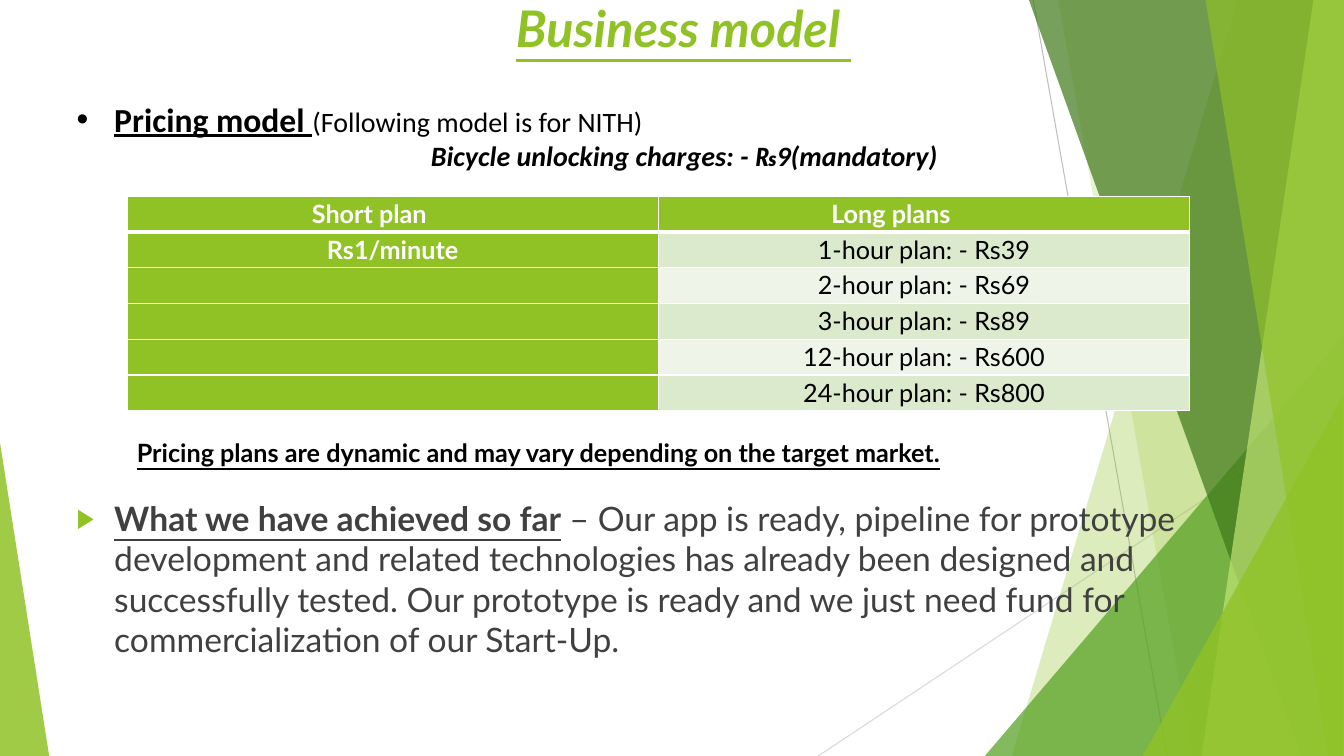
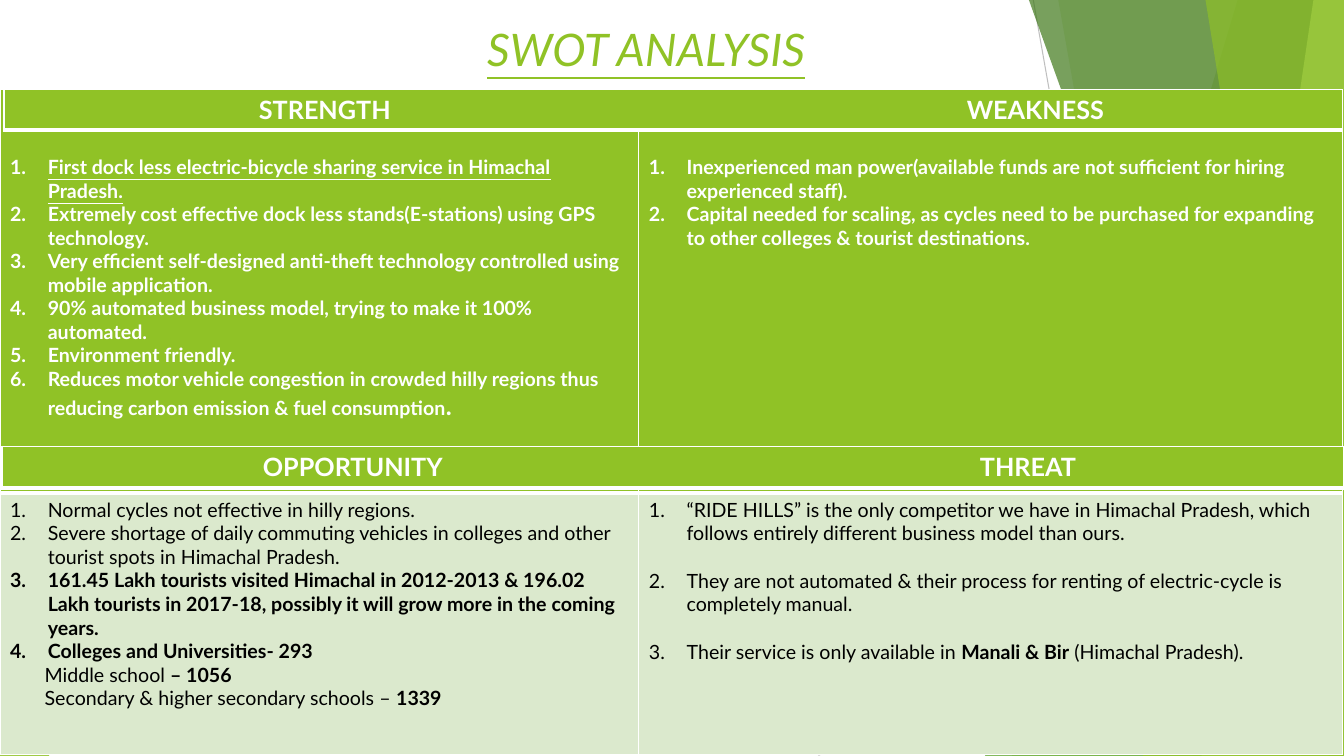
from dataclasses import dataclass

from lxml import etree
from pptx import Presentation
from pptx.dml.color import RGBColor
from pptx.enum import shapes, text
from pptx.oxml import ns
from pptx.util import Cm, Pt


@dataclass(frozen=True)
class Theme:
    font: str = "Lato"
    font_plain: str = "Calibri"
    green: str = "90C226"
    leaf: str = "54A021"
    forest: str = "3F7819"
    lime: str = "C0E474"
    pale: str = "DBE9CD"
    paler: str = "EEF4E8"
    ink: str = "404040"
    black: str = "000000"
    white: str = "FFFFFF"
    title: int = 36
    title_small: int = 32
    large: int = 24
    medium: int = 20
    normal: int = 18
    small: int = 14


THEME = Theme()
WIDTH, HEIGHT = 33.87, 19.05
HANGING = 0.95

RAYS = [(26.04, 0, 29.41, HEIGHT, "BFBFBF"), (WIDTH, 10.24, 20.62, HEIGHT, "D9D9D9")]
DECOR = [
    ("panel", (31.19, 25.5), THEME.green, 30),
    ("panel", (26.67, 30.05), THEME.green, 20),
    ("triangle", (24.82, 8.46, 9.04, 1), THEME.leaf, 72),
    ("panel", (25.93, 32.79), THEME.forest, 70),
    ("panel", (33.1, 30.28), THEME.lime, 70),
    ("panel", (30.38, 33.48), THEME.green, 65),
    ("triangle", (28.8, 9.98, 5.05, 1), THEME.green, 80),
    ("triangle", (0, 11.15, 1.24, 0), THEME.green, 85),
]

BOLD = {"bold": True}
UNDERLINED = {"bold": True, "underline": True}
HEADER = {"size": THEME.normal, "color": THEME.white, "bold": True}
PLAN = {"size": THEME.normal, "color": THEME.black}
LIGHT = {"size": THEME.small, "color": THEME.white, "bold": True}
DARK = {"size": THEME.small, "color": THEME.black}
NOTE = {"size": THEME.medium, "color": THEME.black, "name": THEME.font_plain}
BODY = {"size": THEME.large, "color": THEME.ink}


def line(*runs, **layout):
    return {"runs": runs, **layout}


def item(*runs, **layout):
    return line(*runs, left=HANGING, hanging=HANGING, **layout)


def numbered(*runs, **layout):
    return item(*runs, number=True, **layout)


PRICING = [
    item(("Pricing model ", {**UNDERLINED, "size": THEME.large}),
         ("(Following model is for NITH)", {}), bullet="•"),
    line(("Bicycle unlocking charges: - ₨9(mandatory)", {"bold": True, "italic": True}), left=8.93),
]
PLAN_HEADERS = [("Short plan", 4.48), ("Long plans", 4.18)]
SHORT_PLANS = ["Rs1/minute", "", "", "", ""]
LONG_PLANS = ["1-hour plan: - Rs39", "2-hour plan: - Rs69", "3-hour plan: - Rs89",
              "12-hour plan: - Rs600", "24-hour plan: - Rs800"]
DYNAMIC = [line(("Pricing plans are dynamic and may vary depending on the target market.", UNDERLINED))]
ACHIEVED = [item(
    ("What we have achieved so far", UNDERLINED),
    (" – Our app is ready, pipeline for prototype development and related technologies has already "
     "been designed and successfully tested. Our prototype is ready and we just need fund for "
     "commercialization of our Start-Up.", {}),
    bullet="▶", bullet_color=THEME.green, bullet_size=80)]

STRENGTHS = [
    numbered(("First dock less electric-bicycle sharing service in Himachal Pradesh.", UNDERLINED)),
    numbered(("Extremely cost effective dock less stands(E-stations) using GPS technology.", {})),
    numbered(("Very efficient self-designed anti-theft technology controlled using mobile application.", {})),
    numbered(("90% automated business model, trying to make it 100% automated.", {})),
    numbered(("Environment friendly.", {})),
    numbered(("Reduces motor vehicle congestion in crowded hilly regions thus reducing carbon emission "
              "& fuel consumption", {}), (".", {"size": THEME.normal})),
]
WEAKNESSES = [
    numbered(("Inexperienced man power(available funds are not sufficient for hiring experienced staff).", {})),
    numbered(("Capital needed for scaling, as cycles need to be purchased for expanding to other "
              "colleges & tourist destinations.", {})),
]
OPPORTUNITIES = [
    numbered(("Normal cycles not effective in hilly regions.", {})),
    numbered(("Severe shortage of daily commuting vehicles in colleges and other tourist spots in "
              "Himachal Pradesh.", {})),
    numbered(("161.45 Lakh tourists visited Himachal in 2012-2013 & 196.02 Lakh tourists in 2017-18, "
              "possibly it will grow more in the coming years.", BOLD)),
    numbered(("Colleges and Universities- 293", BOLD)),
    line(("Middle school", {}), (" – 1056", BOLD), left=0.87),
    line(("Secondary & higher secondary schools – ", {}), ("1339", BOLD), left=0.87),
]
THREATS = [
    numbered(("“RIDE HILLS” is the only competitor we have in Himachal Pradesh, which follows entirely "
              "different business model than ours.", {})),
    numbered(("They are not automated & their process for renting of electric-cycle is completely "
              "manual.", {}), space_before=17),
    numbered(("Their service is only available in ", {}), ("Manali & Bir", BOLD),
             (" (Himachal Pradesh).", {}), space_before=17),
]
QUADRANTS = [
    [(STRENGTHS, LIGHT, THEME.green, 1.65, 3), (WEAKNESSES, LIGHT, THEME.green, 1.65, 3)],
    [(OPPORTUNITIES, DARK, THEME.pale, 0.13, 1), (THREATS, DARK, THEME.pale, 0.13, 1)],
]
BANDS = [
    (("OPPORTUNITY", "THREAT"), (6.32, 24.39), (0.05, 11.25, 33.81, 1.04)),
    (("STRENGTH", "WEAKNESS"), (6.17, 24.01), (0.1, 2.26, 33.73, 1.02)),
]


def add_xml(parent, tag, **attributes):
    return etree.SubElement(parent, ns.qn(tag), {key: str(value) for key, value in attributes.items()})


def format_run(run, values):
    for name, value in {"name": THEME.font, **values}.items():
        if name == "color":
            run.font.color.rgb = RGBColor.from_string(value)
        else:
            setattr(run.font, name, Pt(value) if name == "size" else value)


def format_paragraph(paragraph, layout):
    properties = paragraph._p.get_or_add_pPr()
    if "left" in layout:
        properties.set("marL", str(Cm(layout["left"])))
        properties.set("indent", str(-Cm(layout.get("hanging", 0))))
    if "bullet_color" in layout:
        add_xml(add_xml(properties, "a:buClr"), "a:srgbClr", val=layout["bullet_color"])
    if "bullet_size" in layout:
        add_xml(properties, "a:buSzPct", val=layout["bullet_size"] * 1000)
    if "number" in layout:
        add_xml(properties, "a:buFont", typeface="+mj-lt")
        add_xml(properties, "a:buAutoNum", type="arabicPeriod")
    elif "bullet" in layout:
        add_xml(properties, "a:buFont", typeface="Arial")
        add_xml(properties, "a:buChar", char=layout["bullet"])
    if "tabs" in layout:
        tabs = add_xml(properties, "a:tabLst")
        for position in layout["tabs"]:
            add_xml(tabs, "a:tab", pos=Cm(position), algn="l")
    if "space_before" in layout:
        paragraph.space_before = Pt(layout["space_before"])
    for name in ("alignment", "line_spacing"):
        if name in layout:
            setattr(paragraph, name, layout[name])


def write(frame, paragraphs, base):
    for index, content in enumerate(paragraphs):
        paragraph = frame.add_paragraph() if index else frame.paragraphs[0]
        format_paragraph(paragraph, content)
        for words, values in content["runs"]:
            run = paragraph.add_run()
            run.text = words
            format_run(run, {**base, **values})


def add_text(slide, box, paragraphs, base):
    frame = slide.shapes.add_textbox(*map(Cm, box)).text_frame
    frame.word_wrap = True
    write(frame, paragraphs, base)


def add_table(slide, box, columns, rows):
    table = slide.shapes.add_table(len(rows), len(columns), *map(Cm, box)).table
    table.first_row = table.horz_banding = False
    for parts, sizes, name in ((table.columns, columns, "width"), (table.rows, rows, "height")):
        for part, size in zip(parts, sizes):
            setattr(part, name, Cm(size))
    return table


def fill_cell(cell, paragraphs, base, fill, bottom=1, margins=None):
    properties = cell._tc.get_or_add_tcPr()
    for side, width in (("L", 1), ("R", 1), ("T", 1), ("B", bottom)):
        border = add_xml(properties, f"a:ln{side}", w=Pt(width))
        add_xml(add_xml(border, "a:solidFill"), "a:srgbClr", val=THEME.white)
    cell.fill.solid()
    cell.fill.fore_color.rgb = RGBColor.from_string(fill)
    for side, size in (margins or {}).items():
        setattr(cell, f"margin_{side}", Cm(size))
    write(cell.text_frame, paragraphs, base)


def draw_decor(slide):
    drawn = []
    for *ends, color in RAYS:
        ray = slide.shapes.add_connector(shapes.MSO_CONNECTOR.STRAIGHT, *map(Cm, ends))
        ray.line.color.rgb = RGBColor.from_string(color)
        ray.line.width = Pt(0.75)
        add_xml(ray.element.spPr, "a:effectLst")
        drawn.append(ray)
    for kind, place, color, opacity in DECOR:
        if kind == "panel":
            top, bottom = place
            builder = slide.shapes.build_freeform(Cm(top), 0)
            corners = [(WIDTH, 0), (WIDTH, HEIGHT), (bottom, HEIGHT)]
            builder.add_line_segments([(Cm(x), Cm(y)) for x, y in corners], close=True)
            shape = builder.convert_to_shape()
        else:
            left, top, width, apex = place
            shape = slide.shapes.add_shape(shapes.MSO_SHAPE.ISOSCELES_TRIANGLE,
                                           *map(Cm, (left, top, width, HEIGHT - top)))
            shape.adjustments[0] = apex
        shape.shadow.inherit = False
        shape.fill.solid()
        shape.fill.fore_color.rgb = RGBColor.from_string(color)
        shape.line.fill.background()
        tint = shape.element.spPr.find(ns.qn("a:solidFill")).find(ns.qn("a:srgbClr"))
        add_xml(tint, "a:alpha", val=opacity * 1000)
        drawn.append(shape)
    return drawn


def share_decor(slide):
    layout = slide.slide_layout
    for placeholder in list(layout.placeholders):
        if placeholder.placeholder_format.idx:
            layout.shapes.element.remove(placeholder.element)
    for shape in draw_decor(slide):
        layout.shapes.element.append(shape.element)


def set_title(slide, words, left, top, values):
    title = slide.shapes.title
    places = zip(("left", "top", "width", "height"), (left, top, 29.21, 3.68))
    for name, value in places:
        setattr(title, name, Cm(value))
    frame = title.text_frame
    frame.vertical_anchor = text.MSO_ANCHOR.TOP
    frame.auto_size = text.MSO_AUTO_SIZE.NONE
    base = {"color": THEME.green, "italic": True, "underline": True}
    write(frame, [line((words, values), alignment=text.PP_ALIGN.CENTER)], base)


def build_business_model(slide):
    set_title(slide, "Business model ", 2.62, -0.2, {"size": THEME.title, "bold": True})
    add_text(slide, (1.68, 12.42, 29.21, 5), ACHIEVED, BODY)
    table = add_table(slide, (3.2, 4.95, 26.78, 5.4), [13.39] * 2, [0.9] * 6)
    margins = {"left": 0.18, "right": 0.18, "top": 0, "bottom": 0}
    for column, (words, left) in enumerate(PLAN_HEADERS):
        header = line((words, {}), left=left, line_spacing=1.07)
        fill_cell(table.cell(0, column), [header], HEADER, THEME.green, 3, margins)
    for row, plans in enumerate(zip(SHORT_PLANS, LONG_PLANS), 1):
        styles = ((HEADER, THEME.green), (PLAN, THEME.pale if row % 2 else THEME.paler))
        for column, (words, (base, fill)) in enumerate(zip(plans, styles)):
            runs = [(words, {})] if words else []
            plan = line(*runs, alignment=text.PP_ALIGN.CENTER, line_spacing=1.07)
            fill_cell(table.cell(row, column), [plan], base, fill, 1, margins)
    add_text(slide, (1.68, 2.36, 22.5, 2.9), PRICING, NOTE)
    add_text(slide, (3.2, 10.9, 26.52, 1.02), DYNAMIC, PLAN)


def build_swot(slide):
    set_title(slide, "SWOT ANALYSIS", 1.68, 0.41, {"size": THEME.title_small})
    grid = add_table(slide, (0, 2.26, 33.83, 16.76), [16.1, 17.73], [10.16, 6.6])
    for row, quadrants in enumerate(QUADRANTS):
        for column, (items, base, fill, top, bottom) in enumerate(quadrants):
            fill_cell(grid.cell(row, column), items, base, fill, bottom, {"top": top})
    for names, tabs, box in BANDS:
        band = add_table(slide, box, [box[2]], [box[3]])
        heading = line(("\t" + "\t".join(names), {}), tabs=tabs)
        fill_cell(band.cell(0, 0), [heading], HEADER, THEME.green, 3)


def main():
    presentation = Presentation()
    presentation.slide_width, presentation.slide_height = Cm(WIDTH), Cm(HEIGHT)
    title_only = presentation.slide_layouts[5]
    for index, build in enumerate((build_business_model, build_swot)):
        slide = presentation.slides.add_slide(title_only)
        if index == 0:
            share_decor(slide)
        build(slide)
    presentation.save("out.pptx")


if __name__ == "__main__":
    main()
